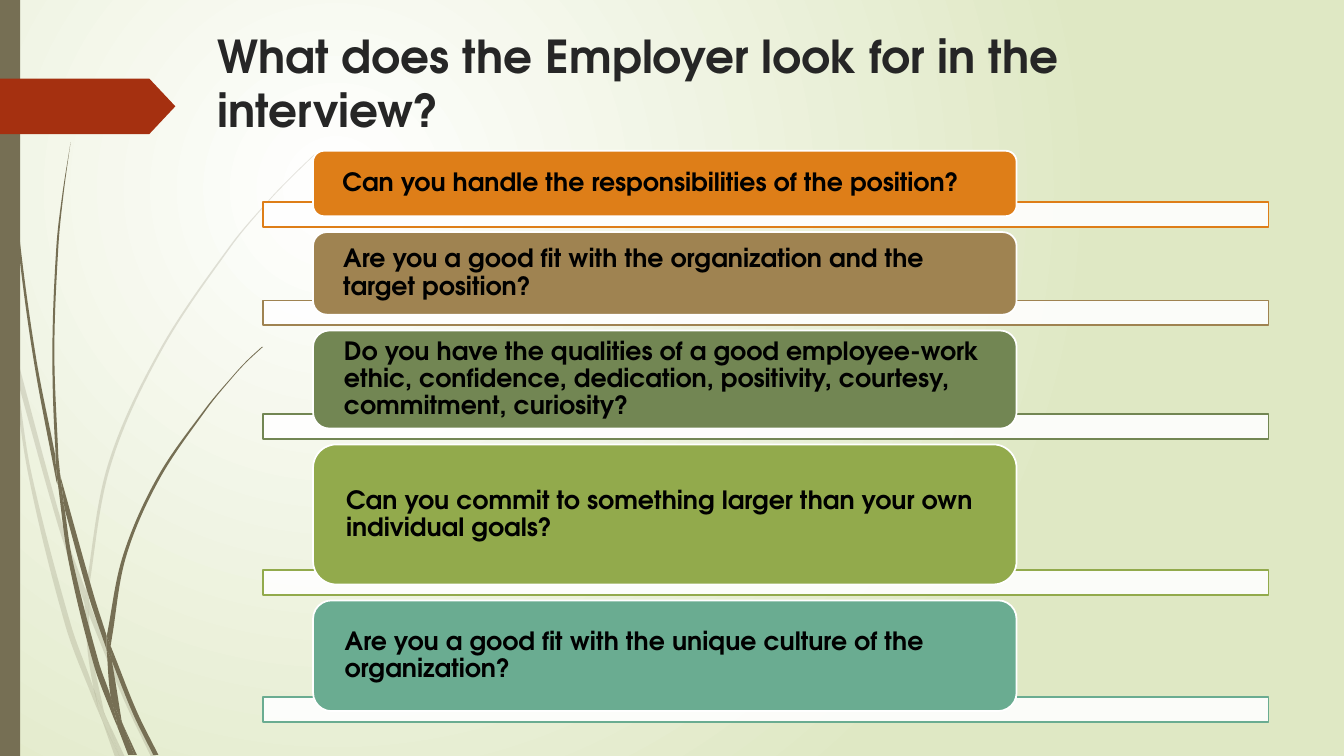
from dataclasses import dataclass
from math import dist

from lxml import etree
from pptx import Presentation
from pptx.dml.color import RGBColor
from pptx.enum.shapes import MSO_SHAPE
from pptx.enum.text import MSO_ANCHOR, MSO_AUTO_SIZE, PP_ALIGN
from pptx.oxml.ns import qn
from pptx.util import Cm, Pt

RECT, ROUND_RECT, PENTAGON = MSO_SHAPE.RECTANGLE, MSO_SHAPE.ROUNDED_RECTANGLE, MSO_SHAPE.PENTAGON
TOP, MIDDLE = MSO_ANCHOR.TOP, MSO_ANCHOR.MIDDLE
LEFT = PP_ALIGN.LEFT
NO_AUTOFIT = MSO_AUTO_SIZE.NONE

FONT = "TeX Gyre Adventor"
WHITE = RGBColor(0xFF, 0xFF, 0xFF)
BLACK = RGBColor(0x00, 0x00, 0x00)
CHARCOAL = RGBColor(0x26, 0x26, 0x26)
PALE_GREEN = RGBColor(0xDF, 0xE8, 0xC4)
TAUPE = RGBColor(0x76, 0x6F, 0x54)
RUST = RGBColor(0xA5, 0x30, 0x10)
ORANGE = RGBColor(0xDE, 0x7E, 0x18)
TAN = RGBColor(0x9F, 0x83, 0x51)
MOSS = RGBColor(0x72, 0x86, 0x53)
OLIVE = RGBColor(0x92, 0xAA, 0x4C)
TEAL = RGBColor(0x6A, 0xAC, 0x91)

# Lengths below are in centimetres
SLIDE_W, SLIDE_H = 33.87, 19.05
CARD_LEFT, CARD_WIDTH, FIRST_CARD_TOP = 7.89, 17.73, 3.8
BAR_LEFT, BAR_WIDTH, BAR_HEIGHT = 6.63, 25.34, 0.63
BAR_OVERLAP, ROW_GAP = 0.36, 0.13

Point = tuple[float, float]


@dataclass
class Question:
    text: str
    color: RGBColor
    height: float


@dataclass
class Blade:
    """A sliver of grass between two smooth edges."""
    edge: list[Point]
    back: list[Point]


QUESTIONS = [
    Question("Can you handle the responsibilities of the position?", ORANGE, 1.65),
    Question("Are you a good fit with the organization and the target position?", TAN, 2.08),
    Question("Do you have the qualities of a good employee-work ethic, confidence, "
             "dedication, positivity, courtesy, commitment, curiosity?", MOSS, 2.47),
    Question("Can you commit to something larger than your own individual goals?", OLIVE, 3.53),
    Question("Are you a good fit with the unique culture of the organization?", TEAL, 2.79),
]

FAINT_BLADES = [
    Blade([(.28, 8.89), (.23, 8.18), (0, 7.16)], [(0, 7.59), (.25, 8.74)]),
    Blade([(.36, 8.76), (1.57, 13.21), (2.16, 14.88)], [(2.13, 15.21), (1.47, 13.26), (.43, 9.55)]),
    Blade([(2.24, 15.14), (2.34, 15.42), (3.23, 17.58), (3.94, 19.08)],
          [(3.81, 19.08), (3.12, 17.63), (2.24, 15.49)]),
    Blade([(2.67, 18.06), (3.15, 19.08)], [(3.02, 19.08)]),
    Blade([(.28, 8.89), (.71, 11.94), (1.65, 15.77), (2.34, 17.6), (2.57, 18.14)],
          [(2.51, 17.96), (2.36, 17.35), (1.78, 15.72), (.79, 11.91), (.43, 9.55)]),
    Blade([(2.13, 15.21), (2.21, 16.41), (2.36, 17.35), (2.44, 17.58), (2.67, 18.06)],
          [(2.62, 17.93), (2.31, 16.41), (2.24, 15.49), (2.24, 15.44)]),
    Blade([(7.92, 3.89), (7.34, 4.45), (6.81, 5), (5.79, 6.2), (4.01, 8.84), (2.72, 11.71),
           (2.16, 14.83), (2.16, 14.88)],
          [(2.24, 15.14), (2.24, 14.83), (2.79, 11.73), (4.06, 8.86), (5.82, 6.22),
           (6.81, 5.03), (7.37, 4.45), (7.92, 3.91)]),
    Blade([(2.57, 18.14), (2.9, 19.08)], [(3.02, 19.08)]),
    Blade([(2.16, 14.88), (2.13, 15.21)], [(2.24, 15.44), (2.24, 15.49), (2.24, 15.14)]),
    Blade([(2.36, 17.35), (2.51, 17.96), (2.57, 18.14), (3.02, 19.08)],
          [(2.67, 18.06), (2.44, 17.58)]),
]

DARK_BLADES = [
    Blade([(.08, 0), (.1, 1.22), (.18, 2.79), (.43, 5.92), (.84, 9.02), (1.42, 12.12), (1.45, 12.22)],
          [(1.4, 11.61), (1.4, 11.51), (.91, 9.02), (.48, 5.89), (.2, 2.77), (.13, 1.22), (.1, 0)]),
    Blade([(1.52, 11.99), (2.36, 14.99), (2.69, 16.03), (2.69, 16.08)],
          [(2.69, 16.38), (2.24, 15.04), (1.63, 12.83)]),
    Blade([(2.79, 16.28), (2.87, 16.48), (3.45, 17.93), (3.99, 19.02)],
          [(3.86, 19.02), (3.35, 17.98), (2.82, 16.66)]),
    Blade([(1.45, 12.12), (1.73, 14.15), (2.36, 16.74), (2.82, 17.98), (2.97, 18.34)],
          [(2.95, 18.21), (2.79, 17.55), (2.49, 16.69), (1.83, 14.12), (1.63, 12.83)]),
    Blade([(1.78, 3.58), (1.57, 4.9), (1.42, 6.22), (1.32, 8.86), (1.4, 11.4), (1.52, 11.99)],
          [(1.47, 11.51), (1.37, 8.86), (1.47, 6.22), (1.6, 4.9), (1.78, 3.58)]),
    Blade([(3.1, 18.26), (3.45, 19.02)], [(3.38, 19.02)]),
    Blade([(1.4, 11.4), (1.4, 11.51), (1.45, 12.12), (1.63, 12.83)], [(1.52, 11.99)]),
    Blade([(6.6, 8.74), (6.22, 9.09), (5.87, 9.47), (5.18, 10.29), (3.96, 12.04), (3.1, 14),
           (2.69, 16.03)],
          [(2.79, 16.28), (2.82, 16.08), (3.18, 14.02), (4.01, 12.09), (5.21, 10.31),
           (5.87, 9.5), (6.22, 9.12), (6.63, 8.74)]),
    Blade([(2.97, 18.34), (3.23, 19.02)], [(3.33, 19.02)]),
    Blade([(2.69, 16.38), (2.79, 17.55), (2.95, 17.93), (3.1, 18.26)],
          [(3.07, 18.19), (2.82, 16.66), (2.77, 16.54)]),
    Blade([(2.69, 16.03), (2.69, 16.38)], [(2.77, 16.54), (2.82, 16.66), (2.79, 16.28)]),
    Blade([(2.79, 17.55), (2.95, 18.21), (2.97, 18.34), (3.3, 19.02)],
          [(3.38, 19.02), (3.1, 18.26), (2.95, 17.93)]),
]


def style(sp, fill: RGBColor, line: RGBColor | None = None, opacity: int = 100) -> None:
    sp.shadow.inherit = False
    sp.fill.solid()
    sp.fill.fore_color.rgb = fill
    if opacity < 100:
        color = sp.element.spPr.find(qn("a:solidFill"))[0]
        etree.SubElement(color, qn("a:alpha")).set("val", str(opacity * 1000))
    if line is None:
        sp.line.fill.background()
    else:
        sp.line.color.rgb = line
        sp.line.width = Pt(1.25)


def add_box(slide, kind, left: float, top: float, width: float, height: float):
    return slide.shapes.add_shape(kind, Cm(left), Cm(top), Cm(width), Cm(height))


def step(start: Point, before: Point, after: Point, length: float) -> Point:
    """Move from start along the direction before -> after."""
    scale = length / (dist(before, after) or 1)
    return tuple(s + (a - b) * scale for s, b, a in zip(start, before, after))


def bezier_points(points: list[Point]) -> list[Point]:
    """Two control points and an end point for each stretch of a smooth curve."""
    padded = [points[0], *points, points[-1]]
    result = []
    for a, b, c, d in zip(padded, padded[1:], padded[2:], padded[3:]):
        third = dist(b, c) / 3
        result += [step(b, a, c, third), step(c, d, b, third), c]
    return result


def add_blade(slide, blade: Blade, opacity: int) -> None:
    edge, back = blade.edge, blade.back
    outline = bezier_points(edge) + bezier_points([edge[-1], back[0]]) + bezier_points(back)
    builder = slide.shapes.build_freeform(Cm(edge[0][0]), Cm(edge[0][1]))
    builder.add_line_segments([(Cm(x), Cm(y)) for x, y in outline], close=True)
    sp = builder.convert_to_shape()
    # Every three line ends become one cubic curve
    lines = list(sp.element.iter(qn("a:lnTo")))
    for first, second, third in zip(lines[::3], lines[1::3], lines[2::3]):
        first.addprevious(curve := etree.Element(qn("a:cubicBezTo")))
        for line in (first, second, third):
            curve.append(line[0])
            line.getparent().remove(line)
    style(sp, TAUPE, opacity=opacity)


def set_text(p, text: str, size: float, color: RGBColor) -> None:
    p.text = text
    p.alignment = LEFT
    p.font.name, p.font.size, p.font.bold = FONT, Pt(size), True
    p.font.color.rgb = color


def add_question(slide, question: Question, top: float) -> float:
    """Draw a card over its bar and return the top of the next card."""
    bar_top = top + question.height - BAR_OVERLAP
    bar = add_box(slide, RECT, BAR_LEFT, bar_top, BAR_WIDTH, BAR_HEIGHT)
    style(bar, WHITE, question.color, opacity=90)
    card = add_box(slide, ROUND_RECT, CARD_LEFT, top, CARD_WIDTH, question.height)
    style(card, question.color, WHITE)
    tf = card.text_frame
    tf.word_wrap = True
    tf.vertical_anchor = MIDDLE
    tf.margin_left = tf.margin_right = Cm(0.66)
    tf.margin_top = tf.margin_bottom = 0
    tf.paragraphs[0].line_spacing = 0.9
    set_text(tf.paragraphs[0], question.text, 18, BLACK)
    return bar_top + BAR_HEIGHT + ROW_GAP


def set_background(slide) -> None:
    fill = slide.background.fill
    fill.gradient()
    for stop, color in zip(fill.gradient_stops, (WHITE, PALE_GREEN)):
        stop.color.rgb = color
    grad = slide.element.find(".//" + qn("a:gradFill"))
    grad.remove(grad.find(qn("a:lin")))
    radial = etree.SubElement(grad, qn("a:path"), {"path": "circle"})
    etree.SubElement(radial, qn("a:fillToRect"), dict(l="50000", t="50000", r="100000", b="100000"))


def add_title(slide) -> None:
    title = slide.shapes.title
    title.left, title.top, title.width, title.height = Cm(5.23), Cm(0.58), Cm(26.72), Cm(2.01)
    tf = title.text_frame
    tf.word_wrap = True
    tf.auto_size = NO_AUTOFIT
    tf.vertical_anchor = TOP
    set_text(tf.paragraphs[0], "What does the Employer look for in the interview?", 32.4, CHARCOAL)


def main() -> None:
    prs = Presentation()
    prs.slide_width, prs.slide_height = Cm(SLIDE_W), Cm(SLIDE_H)
    slide = prs.slides.add_slide(prs.slide_layouts[5])
    set_background(slide)
    add_title(slide)
    # Grass, side band and tag
    for blades, opacity in ((FAINT_BLADES, 20), (DARK_BLADES, 100)):
        for blade in blades:
            add_blade(slide, blade, opacity)
    style(add_box(slide, RECT, 0, 0, 0.51, SLIDE_H), TAUPE)
    tag = add_box(slide, PENTAGON, 0, 1.98, 4.42, 1.4)
    tag.adjustments[0] = 0.47
    style(tag, RUST)
    # Question cards, stacked downwards
    top = FIRST_CARD_TOP
    for question in QUESTIONS:
        top = add_question(slide, question, top)
    prs.save("out.pptx")


if __name__ == "__main__":
    main()
